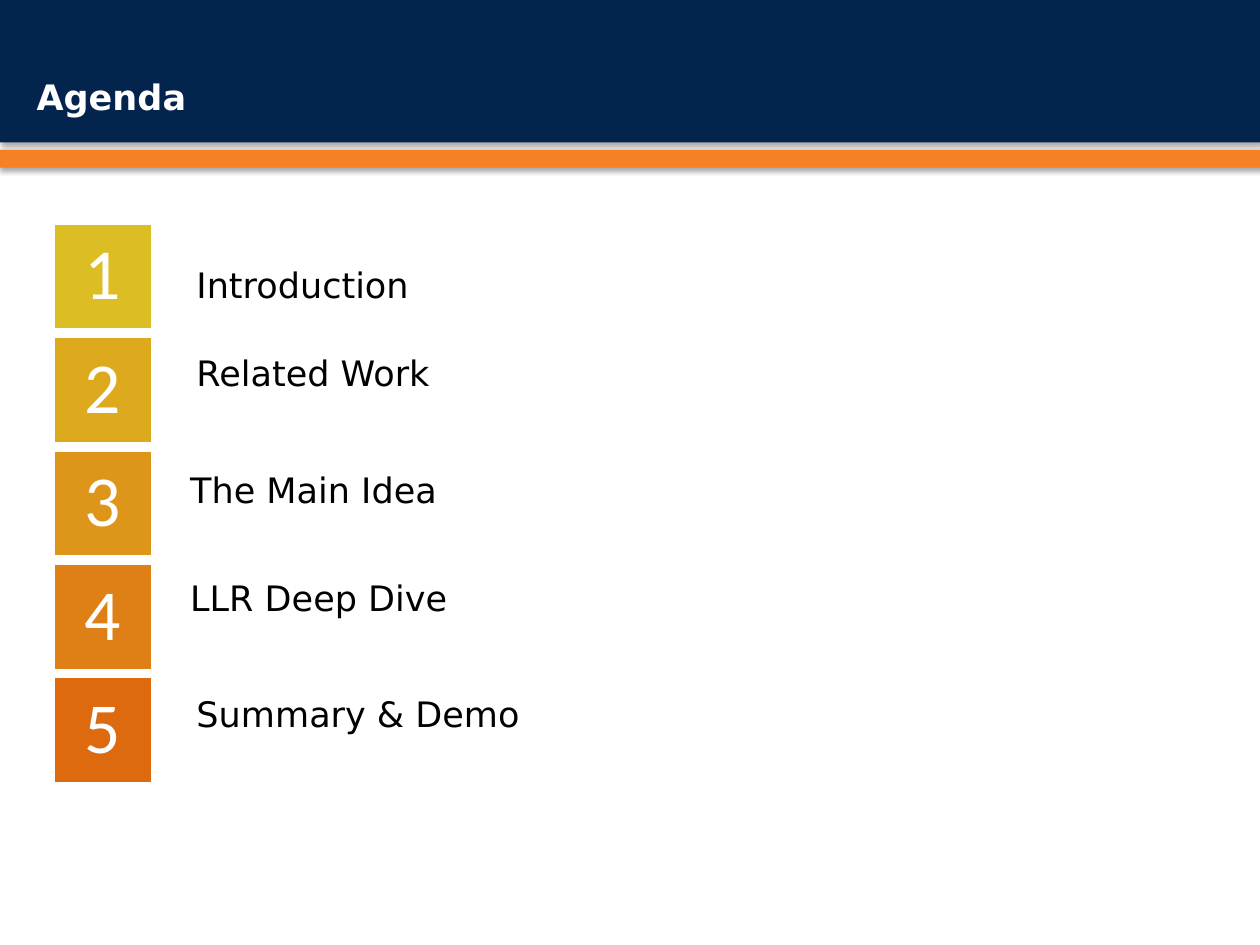
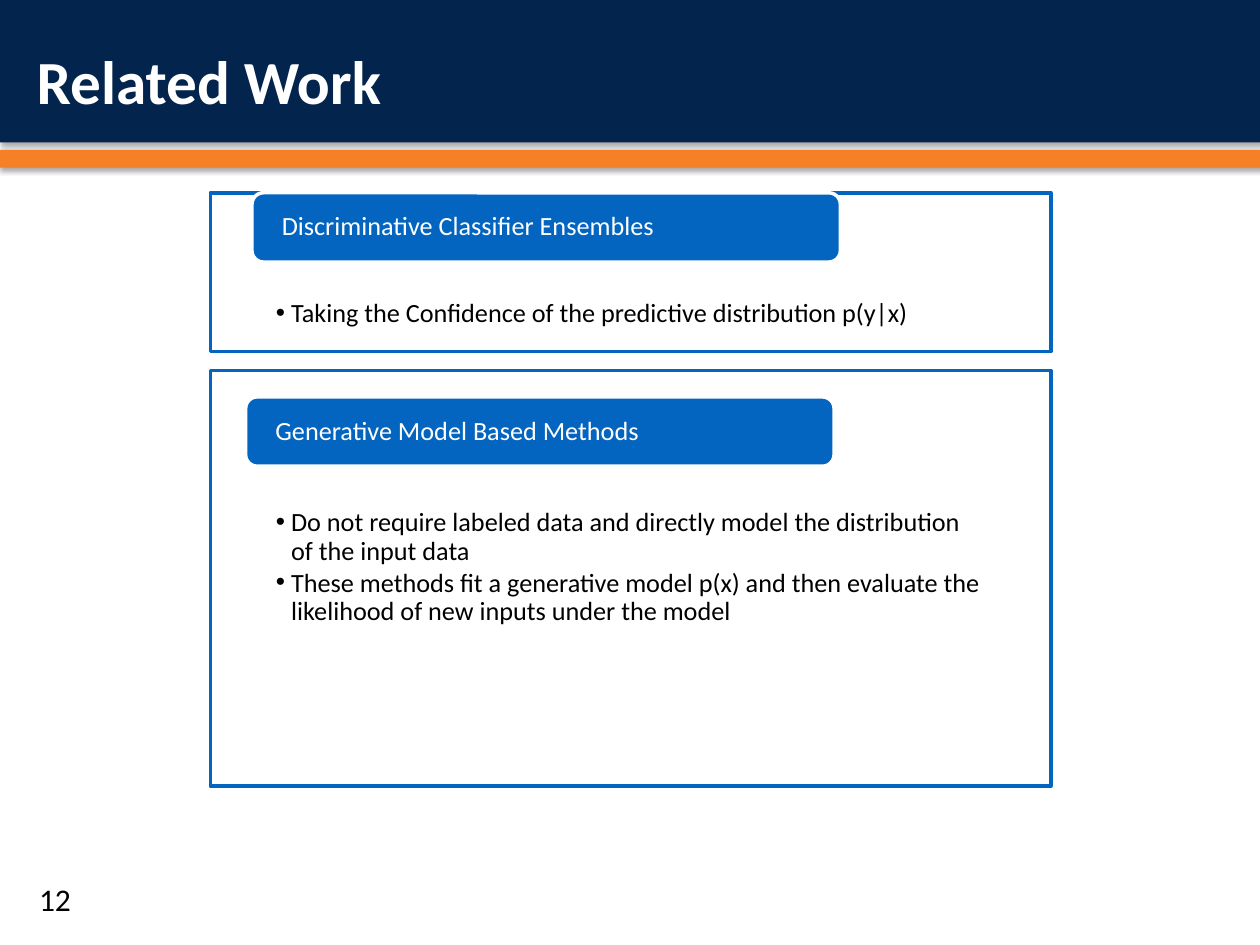
"""Build the agenda and related-work slides."""
from dataclasses import dataclass

import pptx
import pptx.dml.color
import pptx.enum.shapes
import pptx.enum.text
import pptx.oxml.ns
import pptx.util
from lxml import etree

SCALE = 9144
Shape = pptx.enum.shapes.MSO_SHAPE
Align = pptx.enum.text.PP_ALIGN
Anchor = pptx.enum.text.MSO_ANCHOR
qn = pptx.oxml.ns.qn


@dataclass(frozen=True)
class Theme:
    navy: str = "03244D"
    orange: str = "F68026"
    blue: str = "0365C0"
    white: str = "FFFFFF"
    black: str = "000000"
    steps: tuple = ("DCBD23", "DDAA1E", "DD9619", "DE8015", "DE6A10")
    sans: str = "DejaVu Sans"
    body: str = "Calibri"
    agenda_size: int = 20
    heading_size: int = 35
    number_size: int = 41
    page_size: int = 18
    text_size: int = 15
    outline: int = 2


def px(length):
    return int(length * SCALE)


def rgb(colour):
    return pptx.dml.color.RGBColor.from_string(colour)


def set_all(target, values):
    for name, value in values.items():
        setattr(target, name, value)


def place(target, box):
    set_all(target, dict(zip(("left", "top", "width", "height"), map(px, box))))


def add_xml(parent, tag, **attributes):
    return etree.SubElement(parent, qn(tag), {k: str(v) for k, v in attributes.items()})


class Deck:
    def __init__(self, theme):
        self.theme = theme
        self.presentation = pptx.Presentation()
        set_all(self.presentation, {"slide_width": px(1000), "slide_height": px(750)})
        self.slide = None

    def new_slide(self, layout, heading, font, size):
        self.slide = self.presentation.slides.add_slide(self.presentation.slide_layouts[layout])
        title = self.slide.shapes.title
        place(title, (25, -28, 637, 125))
        self.set_text(title, [heading], size, self.theme.white, font=font, bold=True,
                      anchor=Anchor.BOTTOM, margins=(4, 4, 4, 4))

    def set_text(self, holder, lines, size, colour, font=None, bold=False, anchor=Anchor.MIDDLE,
                 margins=(6, 6, 6, 6), **paragraph_format):
        frame = holder.text_frame
        sides = ("margin_left", "margin_top", "margin_right", "margin_bottom")
        set_all(frame, {"word_wrap": True, "auto_size": pptx.enum.text.MSO_AUTO_SIZE.NONE,
                        "vertical_anchor": anchor, **dict(zip(sides, map(px, margins)))})
        frame.text = "\n".join(lines)
        for paragraph in frame.paragraphs:
            set_all(paragraph, {"alignment": Align.LEFT, **paragraph_format})
            for run in paragraph.runs:
                set_all(run.font, {"name": font or self.theme.body, "bold": bold,
                                   "size": pptx.util.Pt(size)})
                run.font.color.rgb = rgb(colour)

    def paint(self, shape, fill, line=None):
        shape.fill.solid()
        shape.fill.fore_color.rgb = rgb(fill)
        if line:
            shape.line.color.rgb = rgb(line)
            shape.line.width = pptx.util.Pt(self.theme.outline)
        else:
            shape.line.fill.background()

    def block(self, box, fill, line=None, kind=Shape.RECTANGLE):
        shape = self.slide.shapes.add_shape(kind, *map(px, box))
        shape.shadow.inherit = False
        self.paint(shape, fill, line)
        return shape

    def label(self, box, text, size, font=None):
        self.set_text(self.slide.shapes.add_textbox(*map(px, box)), [text], size,
                      self.theme.black, font=font)

    def master_bands(self):
        master = self.presentation.slide_master.shapes.element
        bands = ((0, 113, self.theme.navy), (119, 14, self.theme.orange))
        for order, (top, height, colour) in enumerate(bands):
            band = self.block((0, top, 1003, height), colour)
            effects = band.element.spPr.find(qn("a:effectLst"))
            shadow = add_xml(effects, "a:outerShdw", blurRad=38100, dist=22860,
                             dir=5400000, rotWithShape=0)
            tint = add_xml(shadow, "a:srgbClr", val=self.theme.black)
            add_xml(tint, "a:alpha", val=35000)
            band.element.nvSpPr.cNvPr.set("id", str(101 + order))
            master.insert(2 + order, band.element)

    def number_tile(self, box, number, fill):
        self.set_text(self.block(box, fill, self.theme.white), [str(number)],
                      self.theme.number_size, self.theme.white, margins=(11, 11, 11, 11),
                      alignment=Align.CENTER, line_spacing=0.9)

    def framed_list(self, index, box, first_line, points):
        framed = self.slide.placeholders[index]
        place(framed, box)
        self.paint(framed, self.theme.white, self.theme.blue)
        add_xml(framed.element.spPr.find(".//" + qn("a:srgbClr")), "a:alpha", val=90000)
        self.set_text(framed, points, self.theme.text_size, self.theme.black, anchor=Anchor.TOP,
                      margins=(52, first_line, 52, 12), line_spacing=0.9,
                      space_before=pptx.util.Pt(0), space_after=pptx.util.Pt(2))
        for paragraph in framed.text_frame.paragraphs:
            properties = paragraph._p.get_or_add_pPr()
            properties.set("marL", str(px(12)))
            properties.set("indent", str(px(-12)))
            add_xml(add_xml(properties, "a:buClr"), "a:srgbClr", val=self.theme.black)
            add_xml(properties, "a:buChar", char="•")

    def pill(self, left, top, text):
        heading = self.block((left, top, 467, 55), self.theme.blue, self.theme.white,
                             Shape.ROUNDED_RECTANGLE)
        self.set_text(heading, [text], self.theme.text_size, self.theme.white,
                      margins=(21, 0, 21, 0), line_spacing=0.9)


def agenda(deck):
    theme = deck.theme
    deck.new_slide(5, "Agenda", theme.sans, theme.agenda_size)
    deck.master_bands()
    topics = (("Introduction", 150, 203), ("Related Work", 150, 273),
              ("The Main Idea", 145, 366), ("LLR Deep Dive", 145, 452),
              ("Summary & Demo", 150, 544))
    for row, ((topic, left, top), colour) in enumerate(zip(topics, theme.steps)):
        deck.number_tile((42, 177 + 90 * row, 79, 85), row + 1, colour)
        deck.label((left, top, 350, 45), topic, theme.agenda_size, theme.sans)


def related_work(deck):
    theme = deck.theme
    deck.new_slide(3, "Related Work", theme.body, theme.heading_size)
    deck.label((25, 692, 68, 42), "12", theme.page_size)
    deck.framed_list(1, (167, 153, 667, 126), 85, [
        "Taking the Confidence of the predictive distribution p(y|x)"])
    deck.pill(200, 153, "Discriminative Classifier Ensembles")
    deck.framed_list(2, (167, 294, 667, 330), 110, [
        "Do not require labeled data and directly model the distribution of the input data",
        "These methods fit a generative model p(x) and then evaluate the likelihood of "
        "new inputs under the model"])
    deck.pill(195, 315, "Generative Model Based Methods")


def main():
    deck = Deck(Theme())
    agenda(deck)
    related_work(deck)
    deck.presentation.save("out.pptx")


if __name__ == "__main__":
    main()
